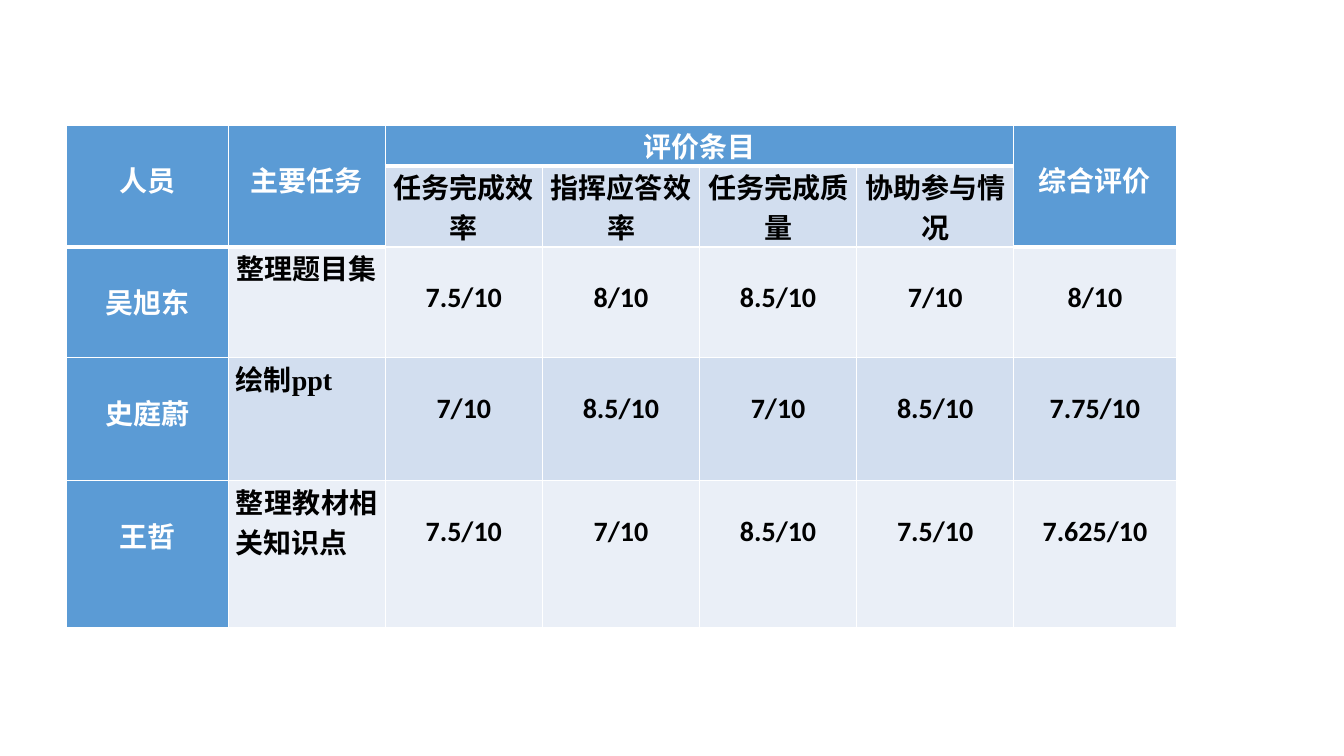
from lxml.etree import SubElement
from pptx import Presentation
from pptx.dml.color import RGBColor
from pptx.enum.text import PP_ALIGN as Align
from pptx.oxml.ns import qn
from pptx.util import Cm, Pt

WHITE = RGBColor(0xFF, 0xFF, 0xFF)
BLACK = RGBColor(0x00, 0x00, 0x00)
BLUE = RGBColor(0x5B, 0x9B, 0xD5)
BAND_DARK = RGBColor(0xD2, 0xDE, 0xEF)
BAND_LIGHT = RGBColor(0xEA, 0xEF, 0xF7)

LEFT, TOP = Cm(1.68), Cm(3.15)
COLUMN_WIDTHS = [Cm(4.07)] + [Cm(3.96)] * 5 + [Cm(4.09)]
ROW_HEIGHTS = [Cm(0.94), Cm(1.85), Cm(2.79), Cm(3.1), Cm(3.71)]
SIDE_MARGIN = Cm(0.19)
LOWERED = Cm(0.86)

CRITERIA = ["任务完成效率", "指挥应答效率", "任务完成质量", "协助参与情况"]
MEMBERS = [
    ("吴旭东", "整理题目集", Align.CENTER,
     ["7.5/10", "8/10", "8.5/10", "7/10", "8/10"]),
    ("史庭蔚", "绘制ppt", Align.JUSTIFY,
     ["7/10", "8.5/10", "7/10", "8.5/10", "7.75/10"]),
    ("王哲", "整理教材相关知识点", Align.JUSTIFY,
     ["7.5/10", "7/10", "8.5/10", "7.5/10", "7.625/10"]),
]


def set_borders(cell, bottom_width):
    properties = cell._tc.get_or_add_tcPr()
    widths = {"a:lnL": Pt(1), "a:lnR": Pt(1), "a:lnT": Pt(1), "a:lnB": bottom_width}
    for tag, width in widths.items():
        line = SubElement(properties, qn(tag), w=str(width))
        fill = SubElement(line, qn("a:solidFill"))
        SubElement(fill, qn("a:srgbClr"), val=str(WHITE))


def style_cell(cell, color, bottom_width=Pt(1)):
    set_borders(cell, bottom_width)
    cell.fill.solid()
    cell.fill.fore_color.rgb = color
    cell.margin_left = cell.margin_right = SIDE_MARGIN
    cell.margin_top = cell.margin_bottom = 0


def write_cell(cell, text, color=BLACK, top=0, font="Calibri", align=Align.CENTER):
    cell.margin_top = top
    paragraph = cell.text_frame.paragraphs[0]
    paragraph.alignment = align
    run = paragraph.add_run()
    run.text = text
    run.font.name = font
    run.font.size = Pt(20)
    run.font.bold = True
    run.font.color.rgb = color


def add_rating_table(slide):
    frame = slide.shapes.add_table(
        len(ROW_HEIGHTS), len(COLUMN_WIDTHS), LEFT, TOP,
        sum(COLUMN_WIDTHS), sum(ROW_HEIGHTS))
    table = frame.table
    for column, width in zip(table.columns, COLUMN_WIDTHS):
        column.width = width
    for row, height in zip(table.rows, ROW_HEIGHTS):
        row.height = height
    return table


def fill_header(table):
    for column in range(len(COLUMN_WIDTHS)):
        style_cell(table.cell(0, column), BLUE, Pt(3))
        is_criterion = 2 <= column <= 5
        style_cell(table.cell(1, column), BAND_DARK if is_criterion else BLUE)
    for column, title in {0: "人员", 1: "主要任务", 6: "综合评价"}.items():
        table.cell(0, column).merge(table.cell(1, column))
        write_cell(table.cell(0, column), title, WHITE, LOWERED)
    table.cell(0, 2).merge(table.cell(0, 5))
    write_cell(table.cell(0, 2), "评价条目", WHITE)
    for column, criterion in enumerate(CRITERIA, start=2):
        write_cell(table.cell(1, column), criterion)


def fill_member(table, row, member):
    name, task, task_align, scores = member
    band = BAND_DARK if row % 2 else BAND_LIGHT
    for column in range(len(COLUMN_WIDTHS)):
        style_cell(table.cell(row, column), band if column else BLUE)
    write_cell(table.cell(row, 0), name, WHITE, LOWERED)
    write_cell(table.cell(row, 1), task, font="Times New Roman", align=task_align)
    for column, score in enumerate(scores, start=2):
        write_cell(table.cell(row, column), score, top=LOWERED)


def main():
    presentation = Presentation()
    presentation.slide_width = Cm(33.87)
    presentation.slide_height = Cm(19.05)
    slide = presentation.slides.add_slide(presentation.slide_layouts[6])
    table = add_rating_table(slide)
    fill_header(table)
    for row, member in enumerate(MEMBERS, start=2):
        fill_member(table, row, member)
    presentation.save("out.pptx")


if __name__ == "__main__":
    main()
